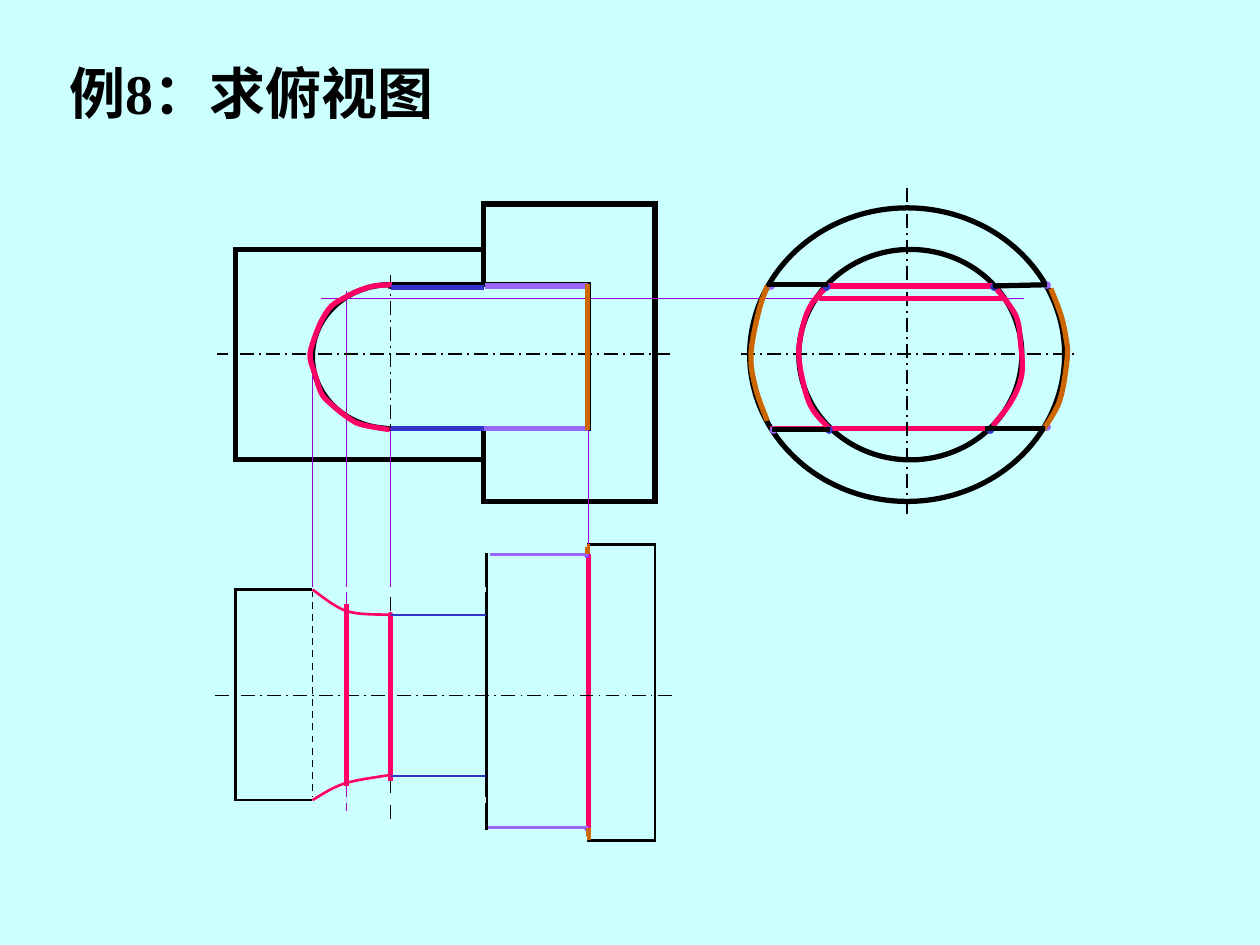
from pptx import Presentation
from pptx.dml.color import RGBColor
from pptx.enum.dml import MSO_LINE_DASH_STYLE as DASH
from pptx.enum.shapes import MSO_CONNECTOR, MSO_SHAPE
from pptx.enum.text import MSO_ANCHOR, MSO_AUTO_SIZE, PP_ALIGN
from pptx.oxml.ns import qn
from pptx.util import Inches, Pt

BACKGROUND, BLACK, PINK, PURPLE = "CCFFFF", "000000", "FF0066", "9900CC"
BLUE, LILAC, VIOLET, BROWN = "3333CC", "9966FF", "9933FF", "CC6600"
AXIS, HIDDEN, SOLID = DASH.LONG_DASH_DOT, DASH.DASH, None
RECT, OVAL = MSO_SHAPE.RECTANGLE, MSO_SHAPE.OVAL

# Outlines: kind, left, top, width, height, line width, fill
OUTLINES = [
    (OVAL, 5.95, 1.65, 2.5, 2.33, 3, None),
    (OVAL, 6.34, 1.98, 1.77, 1.67, 3, None),
    (RECT, 3.84, 1.62, 1.36, 2.36, 3, None),
    (RECT, 1.87, 1.98, 1.97, 1.67, 3, None),
    (RECT, 3.86, 4.32, 1.34, 2.35, 1.5, None),
    (RECT, 1.87, 4.68, 1.99, 1.67, 1.5, None),
    (OVAL, 2.48, 2.26, 1.23, 1.14, 3, None),
    (RECT, 3.1, 2.26, 1.57, 1.14, 3, BACKGROUND),
]

# Lines: colour, width, dash, [(x1, y1, x2, y2), ...]
CONSTRUCTION_LINES = [
    (BACKGROUND, 6, SOLID, [(3.1, 2.29, 3.11, 3.38)]),
    (BLACK, 1, HIDDEN, [(6.11, 3.4, 8.28, 3.4), (4.67, 4.32, 4.67, 6.67),
                        (6.09, 2.26, 8.3, 2.27), (2.48, 4.68, 2.48, 6.35)]),
    (PINK, 3, SOLID, [(4.67, 6.58, 4.67, 4.4), (6.11, 3.4, 8.28, 3.4)]),
    (PURPLE, 1, SOLID, [(2.75, 2.31, 2.75, 6.44)]),
    (BLACK, 1, AXIS, [(3.1, 4.53, 3.1, 6.51), (5.88, 2.81, 8.53, 2.81),
                      (7.2, 1.49, 7.2, 4.12), (5.33, 5.52, 1.71, 5.52),
                      (5.32, 2.81, 1.72, 2.81), (3.1, 2.18, 3.1, 3.58)]),
    (PURPLE, 1, SOLID, [(2.48, 2.81, 2.48, 4.68), (3.1, 3.4, 3.1, 4.68),
                        (4.67, 3.38, 4.67, 4.32), (2.55, 2.37, 8.13, 2.37)]),
]
SECTION_LINES = [
    (PINK, 3, SOLID, [(6.55, 2.27, 7.87, 2.27), (3.1, 6.2, 3.1, 4.88),
                      (2.75, 6.24, 2.75, 4.79), (6.5, 2.37, 7.95, 2.37)]),
    (BLUE, 1.5, SOLID, [(3.1, 4.88, 3.86, 4.88), (3.1, 6.16, 3.86, 6.16)]),
    (LILAC, 1.5, SOLID, [(4.67, 4.4, 3.89, 4.4), (4.67, 6.57, 3.87, 6.57)]),
    (BROWN, 3, SOLID, [(4.66, 4.32, 4.66, 4.4), (4.67, 6.57, 4.67, 6.67)]),
    # Edges cut away in the top view
    (BACKGROUND, 3, SOLID, [(3.85, 4.26, 3.85, 4.39), (2.48, 4.68, 3.86, 4.68),
                            (3.87, 4.32, 4.66, 4.32), (2.48, 6.35, 3.86, 6.35),
                            (3.86, 6.59, 3.86, 6.73)]),
    (BACKGROUND, 4.5, SOLID, [(3.81, 6.66, 4.66, 6.67)]),
]
SLOT_LINES = [
    (BLUE, 3, SOLID, [(3.1, 2.28, 3.84, 2.28), (3.1, 3.4, 3.84, 3.4)]),
    (LILAC, 3, SOLID, [(3.85, 2.27, 4.67, 2.27), (3.84, 3.4, 4.67, 3.4)]),
]
FINAL_EDGES = [
    (BROWN, 3, SOLID, [(4.66, 2.25, 4.66, 3.41)]),
    (BLACK, 3, SOLID, [(6.09, 2.26, 6.57, 2.26), (7.88, 2.27, 8.31, 2.26),
                       (6.13, 3.41, 6.59, 3.41), (7.82, 3.4, 8.29, 3.4)]),
]

# Curves: colour, width, points the curve passes through
SECTION_CURVES = [
    (PINK, 1.5, [(2.48, 4.68), (2.75, 4.85), (3.08, 4.88)]),
    (PINK, 1.5, [(2.48, 6.35), (2.73, 6.22), (3.1, 6.15)]),
    (PINK, 3, [(3.11, 2.26), (2.97, 2.27), (2.84, 2.31), (2.74, 2.36), (2.63, 2.43),
               (2.55, 2.55), (2.49, 2.7), (2.46, 2.83), (2.5, 2.97), (2.55, 3.12),
               (2.62, 3.2), (2.77, 3.32), (2.87, 3.37), (3.09, 3.41)]),
    (PINK, 3, [(6.58, 2.26), (6.45, 2.4), (6.38, 2.56), (6.34, 2.8), (6.38, 3.06),
               (6.45, 3.25), (6.6, 3.42)]),
    (PINK, 3, [(7.89, 2.27), (8.06, 2.5), (8.1, 2.72), (8.11, 2.97), (8.03, 3.18),
               (7.88, 3.38)]),
]
FLANGE_CURVES = [
    (BROWN, 3, [(6.09, 2.27), (6.02, 2.48), (5.96, 2.82), (6, 3.09), (6.09, 3.34)]),
    (BROWN, 3, [(8.34, 2.29), (8.42, 2.5), (8.46, 2.68), (8.47, 2.84), (8.41, 3.18),
                (8.28, 3.41)]),
]

# Points: colour, text size, centres
SMALL_POINTS = [
    (PINK, 7, [(3.1, 4.87), (3.1, 6.15), (6.56, 2.27), (7.89, 2.27), (2.75, 4.85),
               (2.75, 6.2), (6.47, 2.38), (7.97, 2.36)]),
    (VIOLET, 7, [(4.66, 4.4), (4.66, 6.57)]),
]
LARGE_POINTS = [
    (BLUE, 10, [(6.58, 3.4), (7.86, 3.4), (6.56, 2.27), (7.89, 2.27)]),
    (LILAC, 10, [(6.12, 2.26), (6.14, 3.4), (8.31, 3.38), (8.31, 2.25)]),
]
POINT_BOXES = {7: (0.26, 0.22), 10: (0.28, 0.27)}


def rgb(color):
    return RGBColor.from_string(color)


def add_child(parent, tag, **attributes):
    child = parent.makeelement(qn(tag), {k: str(v) for k, v in attributes.items()})
    parent.append(child)
    return child


def format_line(shape, color, width, dash=None):
    shape.line.color.rgb = rgb(color)
    shape.line.width = Pt(width)
    if dash is not None:
        shape.line.dash_style = dash


def add_outlines(slide, outlines):
    for kind, left, top, width, height, line_width, fill in outlines:
        shape = slide.shapes.add_shape(kind, *map(Inches, (left, top, width, height)))
        shape.shadow.inherit = False
        if fill:
            shape.fill.solid()
            shape.fill.fore_color.rgb = rgb(fill)
        else:
            shape.fill.background()
        format_line(shape, BLACK, line_width)
        add_child(shape._element.spPr.find(qn("a:ln")), "a:miter", lim=800000)


def add_lines(slide, groups):
    for color, width, dash, segments in groups:
        for segment in segments:
            line = slide.shapes.add_connector(MSO_CONNECTOR.STRAIGHT, *map(Inches, segment))
            format_line(line, color, width, dash)
            add_child(line._element.spPr, "a:effectLst")


def bend(shape):
    """Turn the straight segments of a freeform into smooth Bezier segments."""
    outline = next(shape._element.iter(qn("a:path")))
    points = [(int(pt.get("x")), int(pt.get("y"))) for pt in outline.iter(qn("a:pt"))]
    for segment in outline.findall(qn("a:lnTo")):
        outline.remove(segment)
    padded = [points[0], *points, points[-1]]
    for before, start, end, after in zip(padded, padded[1:], padded[2:], padded[3:]):
        leave = [s + (e - b) / 6 for b, s, e in zip(before, start, end)]
        arrive = [e - (a - s) / 6 for s, e, a in zip(start, end, after)]
        curve = add_child(outline, "a:cubicBezTo")
        for x, y in (leave, arrive, end):
            add_child(curve, "a:pt", x=round(x), y=round(y))


def add_curves(slide, curves):
    for color, width, points in curves:
        start, *rest = [(Inches(x), Inches(y)) for x, y in points]
        builder = slide.shapes.build_freeform(*start)
        builder.add_line_segments(rest, close=False)
        shape = builder.convert_to_shape()
        bend(shape)
        shape.shadow.inherit = False
        shape.fill.background()
        format_line(shape, color, width)


def add_text(slide, text, left, top, width, height, size, color=BLACK,
             bold=False, align=PP_ALIGN.LEFT):
    box = slide.shapes.add_textbox(*map(Inches, (left, top, width, height)))
    frame = box.text_frame
    frame.word_wrap = False
    frame.auto_size = MSO_AUTO_SIZE.SHAPE_TO_FIT_TEXT
    frame.vertical_anchor = MSO_ANCHOR.MIDDLE
    paragraph = frame.paragraphs[0]
    paragraph.alignment = align
    run = paragraph.add_run()
    run.text = text
    run.font.name = "Times New Roman"
    run.font.size = Pt(size)
    run.font.bold = bold
    run.font.color.rgb = rgb(color)


def add_points(slide, groups):
    for color, size, centres in groups:
        width, height = POINT_BOXES[size]
        for x, y in centres:
            add_text(slide, "●", x - width / 2, y - height / 2, width, height,
                     size=size, color=color, align=PP_ALIGN.CENTER)


def main():
    presentation = Presentation()
    presentation.slide_width, presentation.slide_height = Inches(10), Inches(7.5)
    slide = presentation.slides.add_slide(presentation.slide_layouts[6])
    slide.background.fill.solid()
    slide.background.fill.fore_color.rgb = rgb(BACKGROUND)

    # Back to front
    add_outlines(slide, OUTLINES)
    add_lines(slide, CONSTRUCTION_LINES)
    add_points(slide, SMALL_POINTS)
    add_lines(slide, SECTION_LINES)
    add_text(slide, "例8：求俯视图", 0.45, 0.41, 3.3, 0.64, size=32, bold=True)
    add_curves(slide, SECTION_CURVES)
    add_lines(slide, SLOT_LINES)
    add_points(slide, LARGE_POINTS)
    add_curves(slide, FLANGE_CURVES)
    add_lines(slide, FINAL_EDGES)
    presentation.save("out.pptx")


if __name__ == "__main__":
    main()
